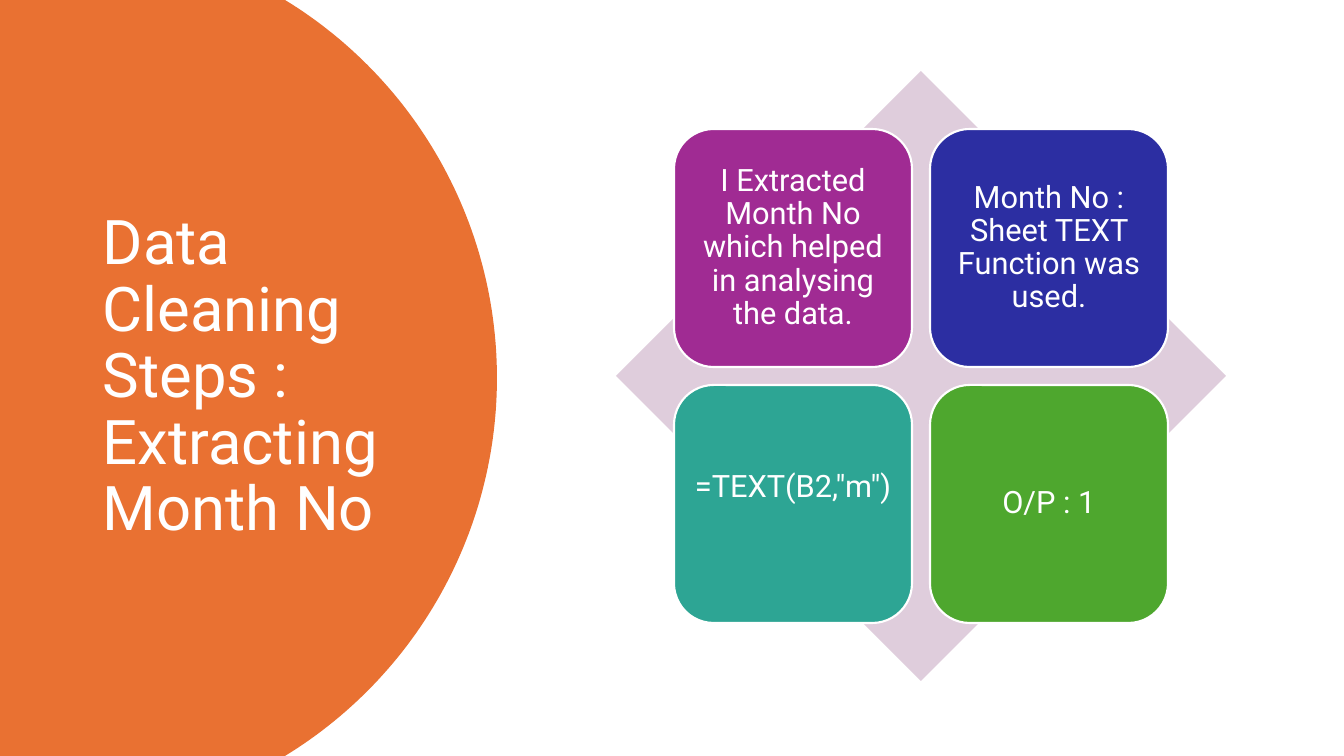
import math
import pptx
import pptx.util
import pptx.dml.color
import pptx.enum.shapes
import pptx.enum.text

TITLE = "Data Cleaning Steps : Extracting Month No"
CARDS = [
    ("I Extracted Month No which helped in analysing the data.", "A02B93"),
    ("Month No : Sheet TEXT Function was used.", "2C2EA2"),
    ("=TEXT(B2,\"m\") \t", "2DA594"),
    ("O/P : 1", "4EA72E"),
]
FONT = "Roboto"
WHITE = "FFFFFF"
PANEL_COLOR = "E97132"
DIAMOND_COLOR = "DFCDDC"

SLIDE_WIDTH, SLIDE_HEIGHT = 1344, 756
ARC_CENTER, ARC_RADIUS, ARC_STEPS = 54, 443, 120
TITLE_BOX = (93, 71, 326, 614)
DIAMOND_BOX = (616, 71, 610, 610)
CARD_LEFT, CARD_TOP, CARD_SIZE, CARD_PITCH, CARD_INSET = 674, 129, 238, 256, 9
EMU_PER_PX = 914400 / 100.8


def px(length):
    return pptx.util.Emu(round(length * EMU_PER_PX))


def color(value):
    return pptx.dml.color.RGBColor.from_string(value)


def paint(shape, fill):
    shape.shadow.inherit = False
    shape.fill.solid()
    shape.fill.fore_color.rgb = color(fill)
    shape.line.fill.background()


def add_shape(slide, kind, box, fill):
    shape = slide.shapes.add_shape(kind, *map(px, box))
    paint(shape, fill)
    return shape


def write(shape, text, size, alignment):
    frame = shape.text_frame
    frame.word_wrap = True
    frame.vertical_anchor = pptx.enum.text.MSO_ANCHOR.MIDDLE
    frame.text = text
    paragraph = frame.paragraphs[0]
    paragraph.alignment = alignment
    paragraph.line_spacing = 0.9
    for run in paragraph.runs:
        run.font.size = pptx.util.Pt(size)
        run.font.name = FONT
        run.font.color.rgb = color(WHITE)


def add_panel(slide):
    middle = SLIDE_HEIGHT / 2
    sweep = math.asin(middle / ARC_RADIUS)
    angles = [sweep * (2 * step / ARC_STEPS - 1) for step in range(ARC_STEPS + 1)]
    arc = [
        (px(ARC_CENTER + ARC_RADIUS * math.cos(angle)),
         px(middle + ARC_RADIUS * math.sin(angle)))
        for angle in angles
    ]
    builder = slide.shapes.build_freeform(0, 0)
    builder.add_line_segments(arc + [(0, px(SLIDE_HEIGHT))], close=True)
    paint(builder.convert_to_shape(), PANEL_COLOR)


def add_card(slide, index, text, fill):
    row, column = divmod(index, 2)
    box = (CARD_LEFT + column * CARD_PITCH, CARD_TOP + row * CARD_PITCH,
           CARD_SIZE, CARD_SIZE)
    card = add_shape(slide, pptx.enum.shapes.MSO_SHAPE.ROUNDED_RECTANGLE, box, fill)
    card.line.color.rgb = color(WHITE)
    card.line.width = pptx.util.Pt(1.5)
    frame = card.text_frame
    frame.margin_left = frame.margin_right = px(CARD_INSET)
    frame.margin_top = frame.margin_bottom = px(CARD_INSET)
    write(card, text, 22, pptx.enum.text.PP_ALIGN.CENTER)


def main():
    presentation = pptx.Presentation()
    presentation.slide_width = px(SLIDE_WIDTH)
    presentation.slide_height = px(SLIDE_HEIGHT)
    slide = presentation.slides.add_slide(presentation.slide_layouts[6])
    add_panel(slide)
    title = slide.shapes.add_textbox(*map(px, TITLE_BOX))
    write(title, TITLE, 44, pptx.enum.text.PP_ALIGN.LEFT)
    add_shape(slide, pptx.enum.shapes.MSO_SHAPE.DIAMOND, DIAMOND_BOX, DIAMOND_COLOR)
    for index, (text, fill) in enumerate(CARDS):
        add_card(slide, index, text, fill)
    presentation.save("out.pptx")


if __name__ == "__main__":
    main()
